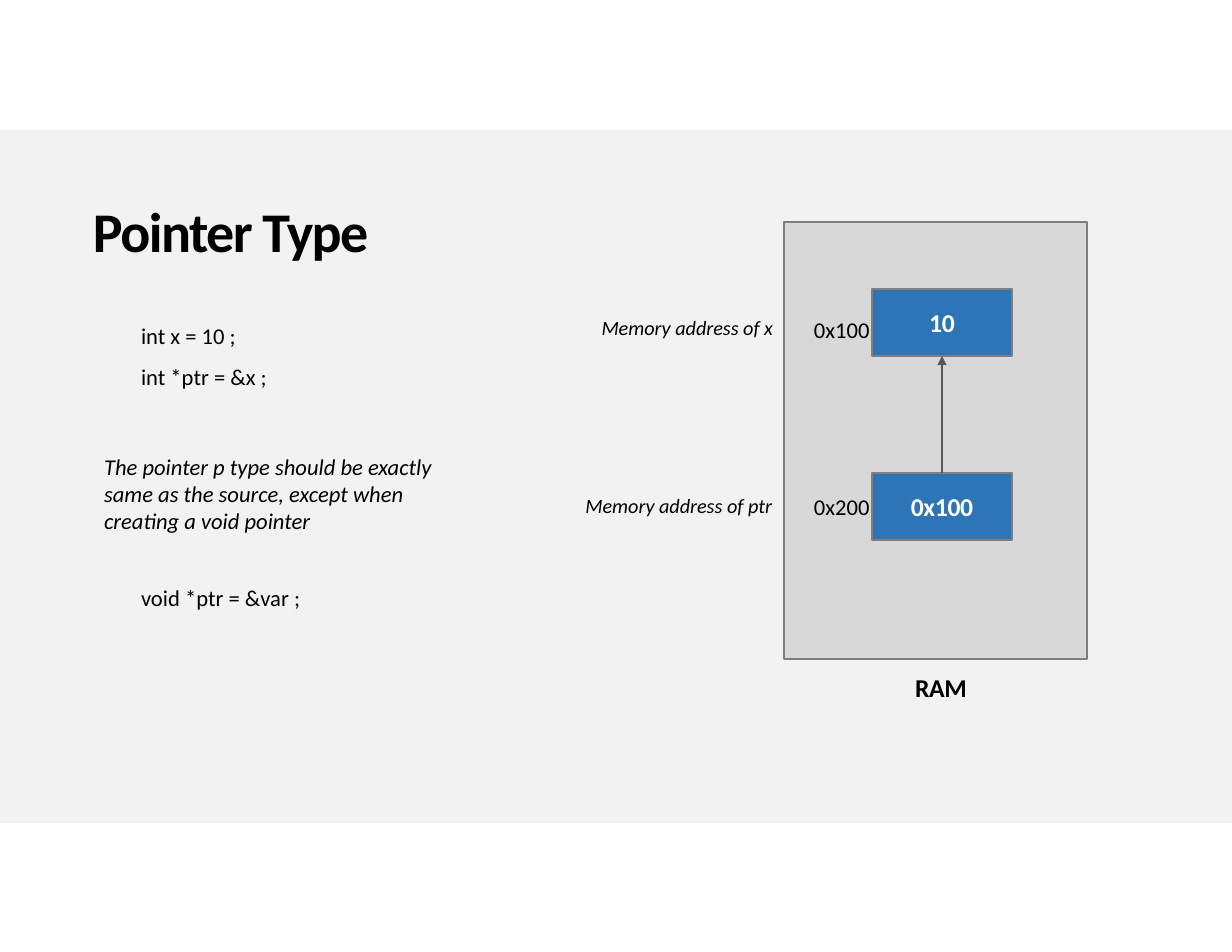
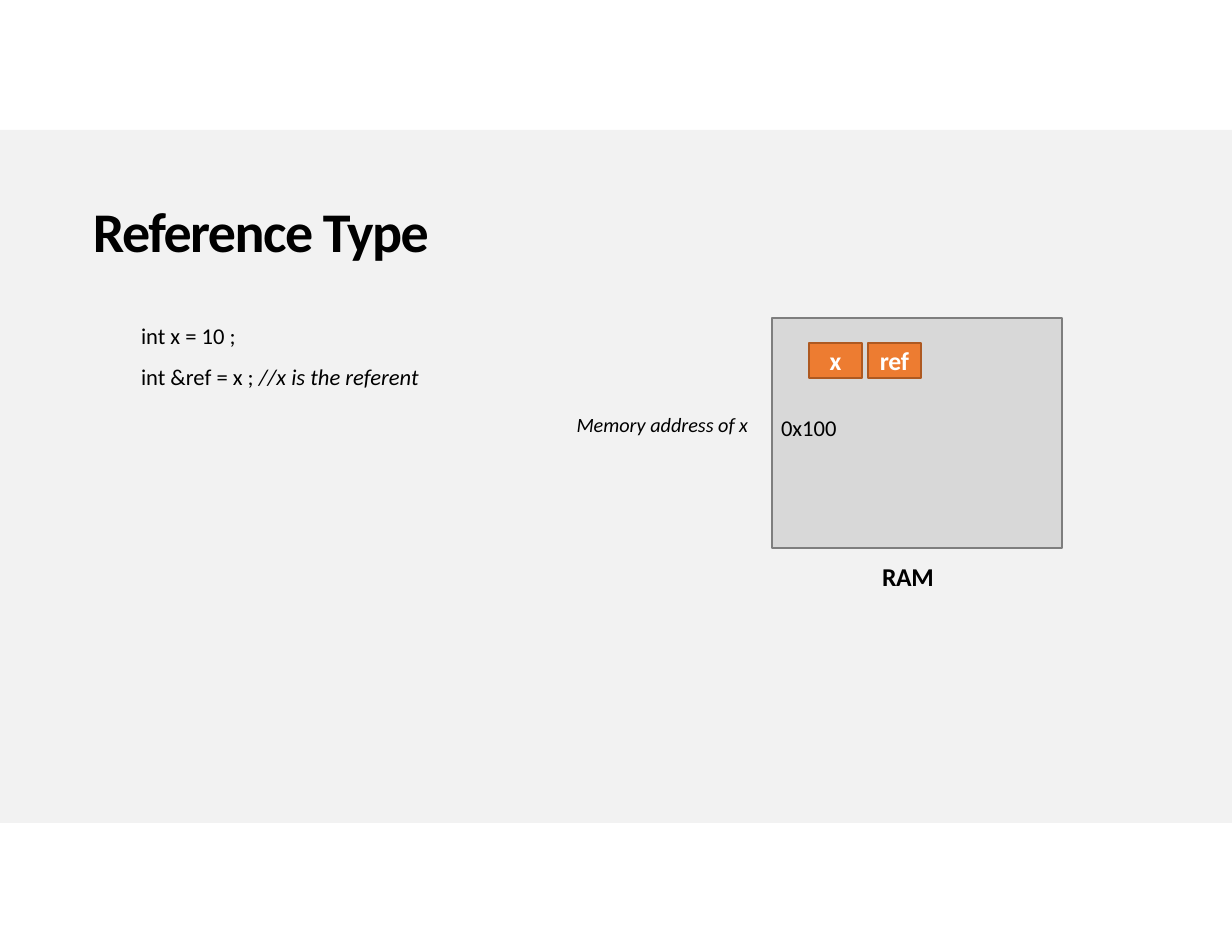
"""Build two slides on C++ pointer and reference types with memory diagrams."""
from dataclasses import dataclass, field

from lxml import etree
from pptx import Presentation
from pptx import util as u
from pptx.dml.color import RGBColor
from pptx.enum import shapes, text
from pptx.oxml.ns import qn

SLIDES = [
    {
        "title": "Pointer Type",
        "notes": [
            ("code", (141, 322, 340), [[("int x = 10 ;", {})], [("int *ptr = &x ;", {})]]),
            ("note", (104, 453, 340), [[(
                "The pointer p type should be exactly same as the source, "
                "except when creating a void pointer", {})]]),
            ("code", (141, 584, 340), [[("void *ptr = &var ;", {})]]),
        ],
        "ram": (784, 222, 303, 437),
        "ram_caption_centre": 941,
        "labels": [("Memory address of x", 773, 315), ("Memory address of ptr", 772, 493)],
        "addresses": [("0x100", 814, 316), ("0x200", 814, 493)],
        "cell_style": "pointer",
        "cells": ["10", "0x100"],
        "first_cell": (872, 289, 140, 67),
        "cell_step": (0, 184),
        "linked": True,
    },
    {
        "title": "Reference Type",
        "notes": [
            ("code", (141, 322, 340), [
                [("int x = 10 ;", {})],
                [("int &ref = x ; ", {}), ("//x is the referent", {"italic": True})],
            ]),
        ],
        "ram": (772, 318, 290, 230),
        "ram_caption_centre": 908,
        "labels": [("Memory address of x", 748, 412)],
        "addresses": [("0x100", 781, 414)],
        "cell_style": "reference",
        "cells": ["x", "ref"],
        "first_cell": (809, 343, 53, 35),
        "cell_step": (59, 0),
        "linked": False,
    },
]


@dataclass
class Theme:
    """Colours, sizes and type styles shared by the slides."""
    size: tuple = (1232, 952)
    band_box: tuple = (0, 130, 1232, 693)
    title_box: tuple = (93, 196, 600, 70)
    font: str = "Calibri"
    band: str = "F2F2F2"
    ram: str = "D8D8D8"
    outline: str = "7E7E7E"
    arrow: str = "595959"
    ink: str = "000000"
    outline_width: float = 0.84
    arrow_width: float = 1.5
    paragraph_gap: float = 8.7
    cells: dict = field(default_factory=lambda: {
        "pointer": ("2D75B6", "7E7E7E"), "reference": ("ED7C31", "AE5921")})
    type: dict = field(default_factory=lambda: {
        "title": {"size": 36, "bold": True, "spacing": -1, "ink": "000000"},
        "code": {"size": 14.5},
        "note": {"size": 14.5, "italic": True},
        "label": {"size": 13, "italic": True},
        "caption": {"size": 16.5, "bold": True, "spacing": -0.2},
        "cell": {"size": 16.5, "bold": True, "spacing": -0.2, "ink": "FFFFFF"},
    })


THEME = Theme()


def px(length):
    """Turn pixels into EMU."""
    return u.Inches(length / 112)


def place(box):
    """Turn a pixel box into EMU."""
    return [px(length) for length in box]


def colour(value):
    """Read a hex colour."""
    return RGBColor.from_string(value)


def write(frame, style, paragraphs, align="LEFT", anchor="TOP"):
    """Fill a text frame with paragraphs made of (words, changes) runs."""
    settings = {"word_wrap": True, "auto_size": text.MSO_AUTO_SIZE.NONE,
                "vertical_anchor": text.MSO_ANCHOR[anchor],
                "margin_left": 0, "margin_top": 0, "margin_right": 0, "margin_bottom": 0}
    for name, value in settings.items():
        setattr(frame, name, value)
    for number, runs in enumerate(paragraphs):
        paragraph = frame.add_paragraph() if number else frame.paragraphs[0]
        paragraph.alignment = text.PP_ALIGN[align]
        paragraph.space_before = u.Pt(THEME.paragraph_gap if number else 0)
        for words, changes in runs:
            look = {**THEME.type[style], **changes}
            ink, spacing = look.pop("ink", THEME.ink), look.pop("spacing", 0)
            run = paragraph.add_run()
            run.text = words
            look.update(name=THEME.font, size=u.Pt(look["size"]))
            for name, value in look.items():
                setattr(run.font, name, value)
            run.font.color.rgb = colour(ink)
            if spacing:
                run.font._element.set("spc", str(round(spacing * 100)))


def add_words(slide, style, box, paragraphs, align="LEFT"):
    """Add a text box whose height follows its type size."""
    left, top, width = box
    height = round(THEME.type[style]["size"] * 1.9 * len(paragraphs))
    words = slide.shapes.add_textbox(*place((left, top, width, height)))
    write(words.text_frame, style, paragraphs, align)


def add_block(slide, box, fill, outline=None):
    """Add a flat rectangle."""
    block = slide.shapes.add_shape(shapes.MSO_SHAPE.RECTANGLE, *place(box))
    block.shadow.inherit = False
    block.fill.solid()
    block.fill.fore_color.rgb = colour(fill)
    if outline:
        block.line.color.rgb = colour(outline)
        block.line.width = u.Pt(THEME.outline_width)
    else:
        block.line.fill.background()
    return block


def add_arrow(slide, start, end):
    """Add an arrow from one point to another."""
    arrow = slide.shapes.add_connector(
        shapes.MSO_CONNECTOR.STRAIGHT, *place(start), *place(end))
    arrow.line.color.rgb = colour(THEME.arrow)
    arrow.line.width = u.Pt(THEME.arrow_width)
    etree.SubElement(arrow.line._get_or_add_ln(), qn("a:tailEnd"), type="triangle")
    etree.SubElement(arrow.element.spPr, qn("a:effectLst"))


def add_memory(slide, content):
    """Draw the RAM block with its cells, addresses and labels."""
    add_block(slide, content["ram"], THEME.ram, THEME.outline)
    left, top, width, height = content["first_cell"]
    step_x, step_y = content["cell_step"]
    fill, outline = THEME.cells[content["cell_style"]]
    for number, value in enumerate(content["cells"]):
        box = (left + number * step_x, top + number * step_y, width, height)
        cell = add_block(slide, box, fill, outline)
        write(cell.text_frame, "cell", [[(value, {})]], "CENTER", "MIDDLE")
    if content["linked"]:
        middle = left + width // 2
        add_arrow(slide, (middle, top + step_y), (middle, top + height))
    for address, address_left, address_top in content["addresses"]:
        add_words(slide, "code", (address_left, address_top, 58), [[(address, {})]])
    for label, right, label_top in content["labels"]:
        add_words(slide, "label", (right - 200, label_top, 200), [[(label, {})]], "RIGHT")
    ram_bottom = content["ram"][1] + content["ram"][3]
    add_words(slide, "caption", (content["ram_caption_centre"] - 50, ram_bottom + 13, 100),
              [[("RAM", {})]], "CENTER")


def add_title(slide, words):
    """Move and format the title placeholder."""
    title = slide.shapes.title
    title.left, title.top, title.width, title.height = place(THEME.title_box)
    write(title.text_frame, "title", [[(words, {})]])


def main():
    """Build and save the slides."""
    deck = Presentation()
    deck.slide_width, deck.slide_height = place(THEME.size)
    layout = deck.slide_layouts[5]
    for number, content in enumerate(SLIDES):
        slide = deck.slides.add_slide(layout)
        if number == 0:
            band = add_block(slide, THEME.band_box, THEME.band)
            layout.shapes.element.insert(2, band.element)
        add_title(slide, content["title"])
        for style, box, paragraphs in content["notes"]:
            add_words(slide, style, box, paragraphs)
        add_memory(slide, content)
    deck.save("out.pptx")


if __name__ == "__main__":
    main()
